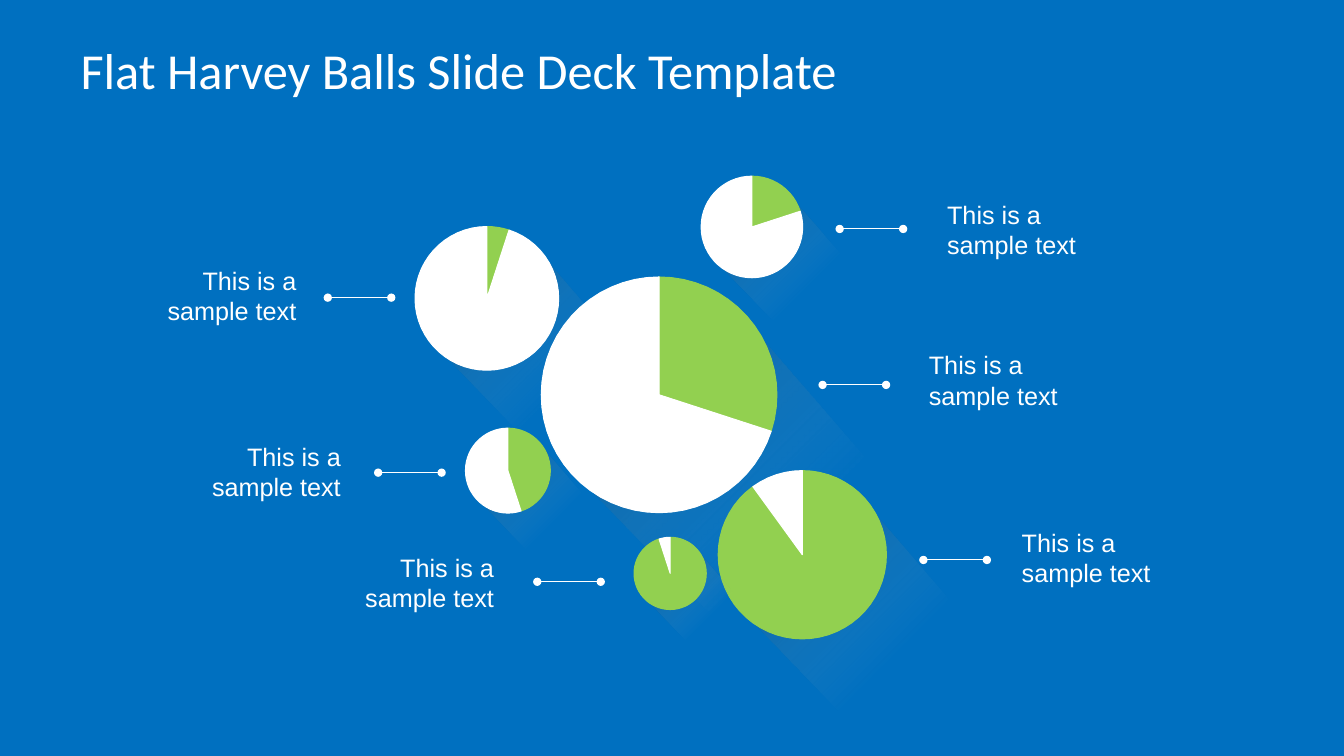
import math

import pptx
import pptx.dml.color
import pptx.enum.shapes
import pptx.enum.text
import pptx.oxml.ns
import pptx.oxml.xmlchemy
import pptx.util

Cm = pptx.util.Cm
Pt = pptx.util.Pt
qn = pptx.oxml.ns.qn
new_element = pptx.oxml.xmlchemy.OxmlElement
ALIGN = pptx.enum.text.PP_ALIGN

BLUE, GREEN, WHITE = "0070C0", "92D050", "FFFFFF"
CAPTION = "This is a sample text"
SHADOW_OUTLINE = [(0.69, 2.12), (2.14, 2.12), (2.1, 0.94),
                  (0.82, -0.54), (0.58, 0.52), (-0.69, 0.69)]
SHADOW_STOPS = [(0, "000000", 31000), (0.64, "D9D9D9", 0)]

# centre x, centre y, radius, green share
BALLS = [
    (18.95, 5.72, 1.28, 0.2),
    (12.27, 7.52, 1.81, 0.05),
    (16.61, 9.95, 2.97, 0.3),
    (20.22, 13.98, 2.12, 0.9),
    (16.89, 14.45, 0.91, 0.95),
    (12.8, 11.86, 1.07, 0.45),
]
LINKS = [(21.16, 5.77), (23.27, 14.11), (20.73, 9.7),
         (13.54, 14.66), (8.26, 7.5), (9.53, 11.91)]
CAPTIONS = [
    (3.07, 6.55, ALIGN.RIGHT), (4.19, 11, ALIGN.RIGHT), (8.05, 13.79, ALIGN.RIGHT),
    (23.62, 4.9, ALIGN.LEFT), (23.16, 8.69, ALIGN.LEFT), (25.5, 13.16, ALIGN.LEFT),
]


def colour(value):
    return pptx.dml.color.RGBColor.from_string(value)


def add_polygon(page, points):
    corners = [(Cm(x), Cm(y)) for x, y in points]
    builder = page.shapes.build_freeform(*corners[0], scale=1.0)
    builder.add_line_segments(corners[1:], close=True)
    polygon = builder.convert_to_shape()
    polygon.shadow.inherit = False
    return polygon


def add_shadow(page, x, y, radius):
    shadow = add_polygon(page, [(x + radius * dx, y + radius * dy)
                                for dx, dy in SHADOW_OUTLINE])
    shadow.line.fill.background()
    shadow.fill.gradient()
    shadow.fill.gradient_angle = 315
    for stop, (position, value, _) in zip(shadow.fill.gradient_stops, SHADOW_STOPS):
        stop.position = position
        stop.color.rgb = colour(value)
    tints = shadow.element.spPr.iter(qn("a:srgbClr"))
    for tint, (_, _, opacity) in zip(tints, SHADOW_STOPS):
        alpha = new_element("a:alpha")
        alpha.set("val", str(opacity))
        tint.append(alpha)


def add_wedge(page, x, y, radius, start, end, value):
    steps = max(4, round((end - start) * 60))
    angles = [math.tau * (start + (end - start) * i / steps) for i in range(steps + 1)]
    arc = [(x + radius * math.sin(a), y - radius * math.cos(a)) for a in angles]
    wedge = add_polygon(page, [(x, y)] + arc)
    wedge.fill.solid()
    wedge.fill.fore_color.rgb = colour(value)
    wedge.line.color.rgb = colour(value)
    wedge.line.width = Pt(0)


def add_ball(page, x, y, radius, share):
    add_shadow(page, x, y, radius)
    add_wedge(page, x, y, radius, 0, share, GREEN)
    add_wedge(page, x, y, radius, share, 1, WHITE)


def add_link(page, x, y):
    link = page.shapes.add_connector(pptx.enum.shapes.MSO_CONNECTOR.STRAIGHT,
                                     Cm(x), Cm(y), Cm(x + 1.6), Cm(y))
    link.line.color.rgb = colour(WHITE)
    link.line.width = Pt(0.75)
    properties = link._element.spPr
    outline = properties.find(qn("a:ln"))
    for tag in ("a:headEnd", "a:tailEnd"):
        dot = new_element(tag)
        dot.set("type", "oval")
        outline.append(dot)
    properties.append(new_element("a:effectLst"))


def add_text(page, text, x, y, width, height, size, font, align):
    box = page.shapes.add_textbox(Cm(x), Cm(y), Cm(width), Cm(height))
    frame = box.text_frame
    frame.word_wrap = True
    frame.text = text
    para = frame.paragraphs[0]
    para.alignment = align
    span = para.runs[0]
    span.font.size = Pt(size)
    span.font.name = font
    span.font.color.rgb = colour(WHITE)
    return frame


def add_title(page, text):
    frame = add_text(page, text, 1.7, 0.76, 30.48, 1.98, 36, "Calibri", ALIGN.LEFT)
    frame.vertical_anchor = pptx.enum.text.MSO_ANCHOR.MIDDLE
    frame.margin_left = frame.margin_right = Cm(0.33)
    frame.margin_top = frame.margin_bottom = Cm(0.18)


def main():
    deck = pptx.Presentation()
    deck.slide_width, deck.slide_height = Cm(33.87), Cm(19.05)
    page = deck.slides.add_slide(deck.slide_layouts[6])
    page.background.fill.solid()
    page.background.fill.fore_color.rgb = colour(BLUE)
    add_title(page, "Flat Harvey Balls Slide Deck Template")
    for ball in BALLS:
        add_ball(page, *ball)
    for link in LINKS:
        add_link(page, *link)
    for x, y, align in CAPTIONS:
        frame = add_text(page, CAPTION, x, y, 4.65, 1.8, 18, "Arial", align)
        frame.auto_size = pptx.enum.text.MSO_AUTO_SIZE.SHAPE_TO_FIT_TEXT
    deck.save("out.pptx")


if __name__ == "__main__":
    main()
